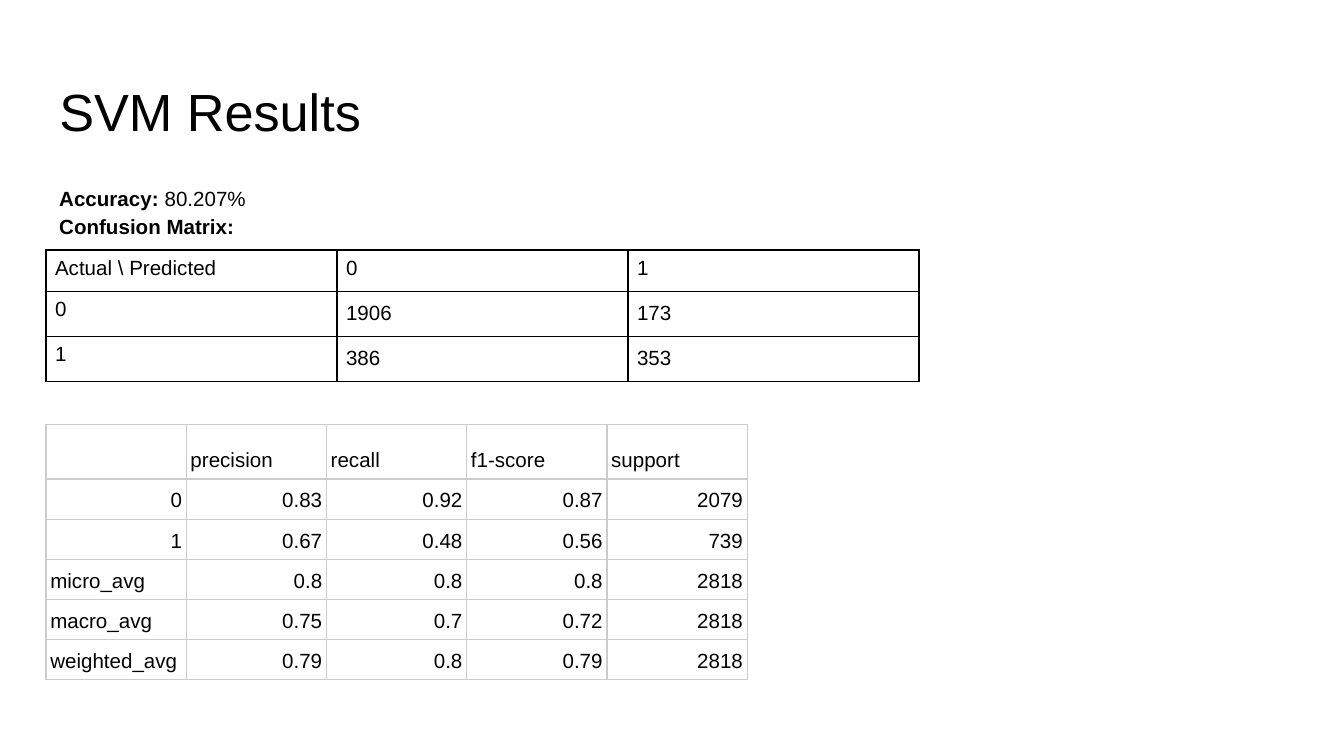
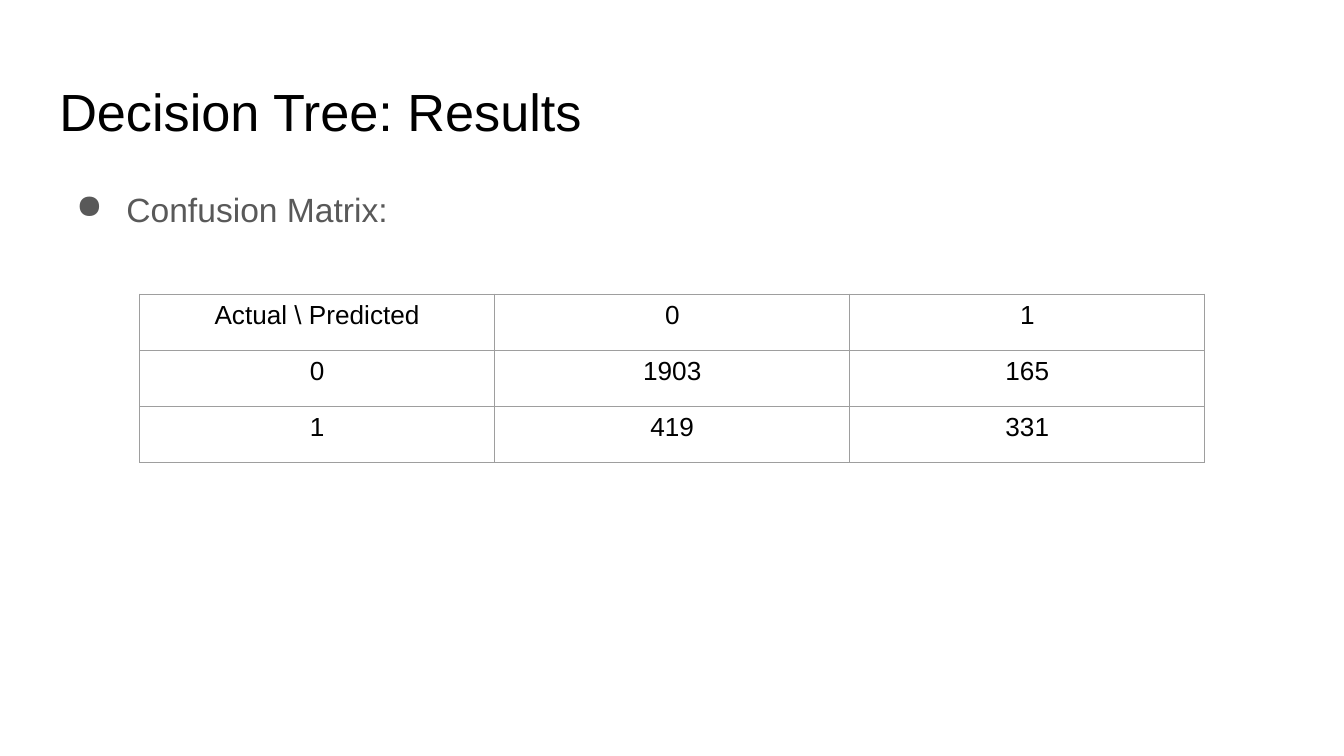
"""Builds two slides with the results of the SVM and decision tree classifiers."""
from lxml import etree
from pptx import Presentation
from pptx import util as u
from pptx.dml.color import RGBColor
from pptx.enum import text
from pptx.oxml.ns import qn

COLOURS = {"ink": "000000", "body": "595959", "light": "CCCCCC", "mid": "9E9E9E"}
FONT = "Arial"
LEFT, WIDTH = u.Cm(0.87), u.Cm(23.67)
INSET = u.Cm(0.25)
LOOSE = 1.15
ALIGN = text.PP_ALIGN


class ResultDeck:
    def __init__(self):
        self.deck = Presentation()
        self.deck.slide_width, self.deck.slide_height = u.Cm(25.4), u.Cm(14.29)
        self.page = None

    def style(self, paragraph, size, colour="ink", align=ALIGN.LEFT, spacing=1.0):
        paragraph.alignment = align
        paragraph.line_spacing = spacing
        paragraph.font.name = FONT
        paragraph.font.size = u.Pt(size)
        paragraph.font.color.rgb = RGBColor.from_string(COLOURS[colour])

    def frame(self, box):
        frame = box.text_frame
        frame.word_wrap = True
        frame.auto_size = text.MSO_AUTO_SIZE.NONE
        frame.vertical_anchor = text.MSO_ANCHOR.TOP
        frame.margin_left = frame.margin_right = INSET
        frame.margin_top = frame.margin_bottom = INSET
        return frame

    def add_page(self, title):
        self.page = self.deck.slides.add_slide(self.deck.slide_layouts[5])
        box = self.page.shapes.title
        box.left, box.top, box.width, box.height = LEFT, u.Cm(1.24), WIDTH, u.Cm(1.59)
        frame = self.frame(box)
        frame.text = title
        self.style(frame.paragraphs[0], 28)

    def add_body(self, lines, size, colour="ink", bullet=None):
        box = self.page.shapes.add_textbox(LEFT, u.Cm(3.2), WIDTH, u.Cm(9.49))
        frame = self.frame(box)
        for index, spans in enumerate(lines):
            paragraph = frame.add_paragraph() if index else frame.paragraphs[0]
            if bullet:
                self.add_bullet(paragraph, bullet, colour)
            self.style(paragraph, size, colour, spacing=LOOSE)
            for words, bold in spans:
                span = paragraph.add_run()
                span.text = words
                span.font.bold = bold

    def add_bullet(self, paragraph, mark, colour):
        props = paragraph._p.get_or_add_pPr()
        props.set("marL", str(u.Cm(1.27)))
        props.set("indent", str(u.Cm(-0.95)))
        tint = etree.SubElement(props, qn("a:buClr"))
        etree.SubElement(tint, qn("a:srgbClr"), val=COLOURS[colour])
        etree.SubElement(props, qn("a:buChar"), char=mark)

    def add_borders(self, cell, colour, weight):
        props = cell._tc.get_or_add_tcPr()
        for place, side in enumerate(("a:lnL", "a:lnR", "a:lnT", "a:lnB")):
            line = etree.Element(qn(side), w=str(u.Pt(weight)))
            fill = etree.SubElement(line, qn("a:solidFill"))
            etree.SubElement(fill, qn("a:srgbClr"), val=COLOURS[colour])
            props.insert(place, line)

    def add_table(self, rows, left, top, column, heights, size, border, weight=0.75,
                  margin=INSET, align=ALIGN.LEFT, number_align=None,
                  anchor=text.MSO_ANCHOR.TOP, head_spacing=1.0, value_spacing=1.0):
        count = len(rows[0])
        table = self.page.shapes.add_table(
            len(rows), count, left, top, column * count, sum(heights)).table
        table.first_row = table.horz_banding = False
        for item in table.columns:
            item.width = column
        for y, (values, height) in enumerate(zip(rows, heights)):
            table.rows[y].height = height
            for x, value in enumerate(values):
                cell = table.cell(y, x)
                cell.fill.background()
                cell.vertical_anchor = anchor
                cell.margin_left = cell.margin_right = margin
                cell.margin_top = cell.margin_bottom = u.Cm(0.13)
                self.add_borders(cell, border, weight)
                if value:
                    cell.text = value
                    numeric = value.replace(".", "").isdigit()
                    self.style(cell.text_frame.paragraphs[0], size,
                               align=number_align if numeric and number_align else align,
                               spacing=value_spacing if x and y else head_spacing)


def confusion(first, second):
    return [["Actual \\ Predicted", "0", "1"], ["0", *first], ["1", *second]]


def main():
    show = ResultDeck()

    show.add_page("SVM Results")
    show.add_body([[("Accuracy: ", True), ("80.207%", False)],
                   [("Confusion Matrix:", True)]], 11)
    show.add_table(confusion(["1906", "173"], ["386", "353"]), LEFT, u.Cm(4.72),
                   u.Cm(5.5), [u.Cm(0.79)] + [u.Cm(0.85)] * 2, 11, "ink",
                   weight=0.96, margin=u.Cm(0.17), value_spacing=LOOSE)
    scores = [
        ["", "precision", "recall", "f1-score", "support"],
        ["0", "0.83", "0.92", "0.87", "2079"],
        ["1", "0.67", "0.48", "0.56", "739"],
        ["micro_avg", "0.8", "0.8", "0.8", "2818"],
        ["macro_avg", "0.75", "0.7", "0.72", "2818"],
        ["weighted_avg", "0.79", "0.8", "0.79", "2818"],
    ]
    show.add_table(scores, LEFT, u.Cm(8.02), u.Cm(2.65),
                   [u.Cm(0.86)] + [u.Cm(0.64)] * 5, 11, "light", margin=u.Cm(0.08),
                   number_align=ALIGN.RIGHT, anchor=text.MSO_ANCHOR.BOTTOM,
                   head_spacing=LOOSE, value_spacing=LOOSE)

    show.add_page("Decision Tree: Results")
    show.add_body([[("Confusion Matrix:", None)]], 18, "body", bullet="●")
    show.add_table(confusion(["1903", "165"], ["419", "331"]), u.Cm(2.64), u.Cm(5.56),
                   u.Cm(6.71), [u.Cm(1.06)] * 3, 14, "mid", align=ALIGN.CENTER)

    show.deck.save("out.pptx")


if __name__ == "__main__":
    main()
